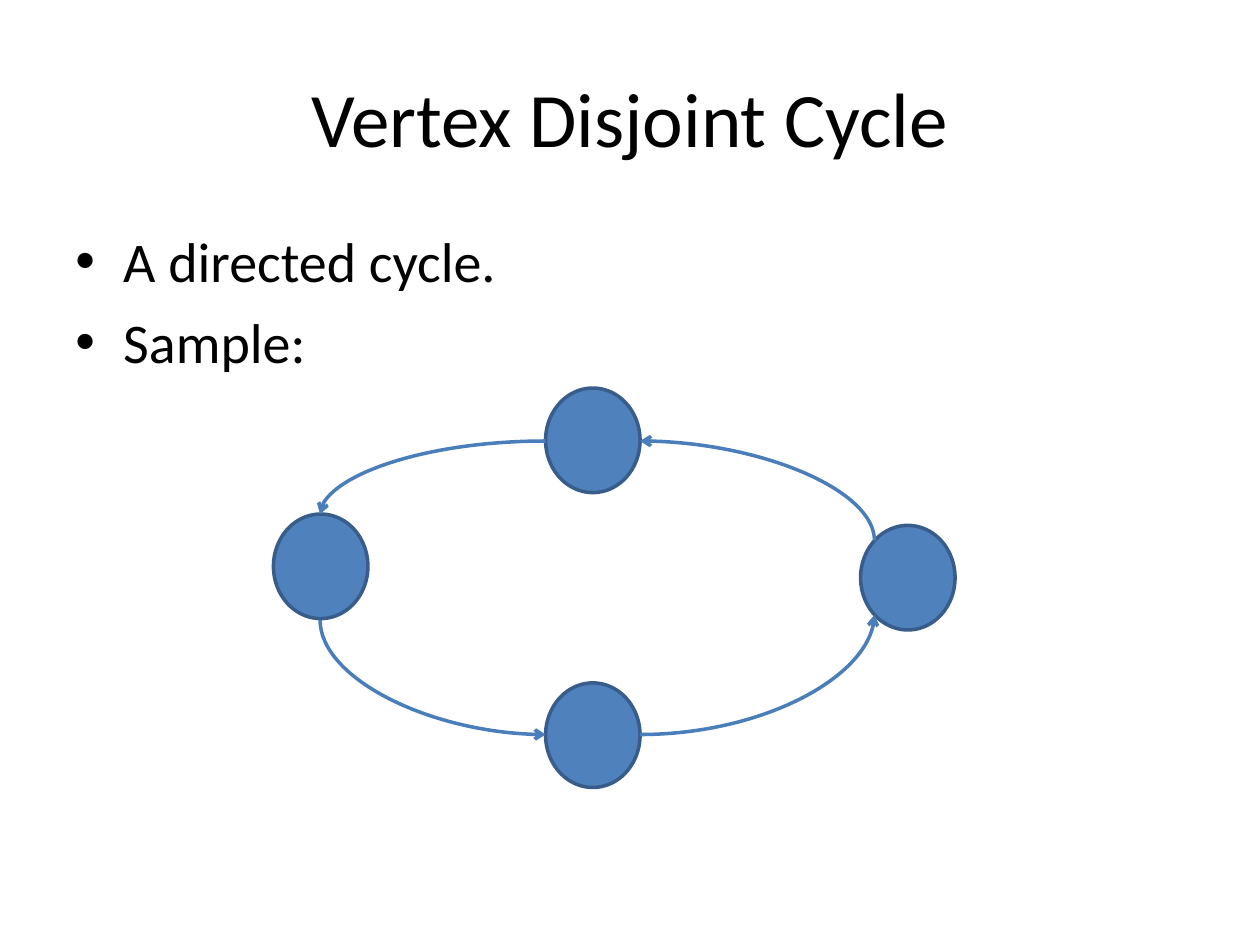
from lxml import etree
from pptx import Presentation
from pptx.dml.color import RGBColor
from pptx.enum.shapes import MSO_CONNECTOR, MSO_SHAPE
from pptx.enum.text import MSO_ANCHOR, PP_ALIGN
from pptx.oxml.ns import qn
from pptx.util import Inches, Pt

NODE_WIDTH, NODE_HEIGHT = 0.75, 0.83
NODES = [(2.17, 4.08), (4.33, 3.08), (4.33, 5.42), (6.83, 4.17)]
EDGES = [
    ((4.33, 3.5), (2.54, 4.08), False),
    ((2.54, 4.92), (4.33, 5.83), True),
    ((5.08, 5.83), (6.94, 4.88), False),
    ((6.94, 4.29), (5.08, 3.5), True),
]


def color(value):
    return RGBColor.from_string(value)


def add_text(slide, left, top, width, height, lines, size):
    shape = slide.shapes.add_textbox(Inches(left), Inches(top), Inches(width), Inches(height))
    frame = shape.text_frame
    frame.word_wrap = True
    frame.text = "\n".join(lines)
    for paragraph in frame.paragraphs:
        paragraph.font.name = "Calibri"
        paragraph.font.size = Pt(size)
        paragraph.font.color.rgb = color("000000")
    return frame


def add_title(slide, text):
    frame = add_text(slide, 0.5, 0.3, 9, 1.25, [text], 44)
    frame.vertical_anchor = MSO_ANCHOR.MIDDLE
    frame.paragraphs[0].alignment = PP_ALIGN.CENTER


def add_bullets(slide, lines):
    frame = add_text(slide, 0.5, 1.75, 9, 4.95, lines, 32)
    for paragraph in frame.paragraphs:
        paragraph.space_before = Pt(8)
        properties = paragraph._p.get_or_add_pPr()
        properties.set("marL", str(Inches(0.38)))
        properties.set("indent", str(Inches(-0.38)))
        font = etree.Element(qn("a:buFont"), typeface="Arial")
        bullet = etree.Element(qn("a:buChar"), char="•")
        position = len(properties.findall(qn("a:spcBef")))
        properties.insert(position, font)
        properties.insert(position + 1, bullet)


def add_node(slide, left, top):
    shape = slide.shapes.add_shape(
        MSO_SHAPE.OVAL, Inches(left), Inches(top), Inches(NODE_WIDTH), Inches(NODE_HEIGHT)
    )
    shape.shadow.inherit = False
    shape.fill.solid()
    shape.fill.fore_color.rgb = color("4F81BD")
    shape.line.color.rgb = color("385D8A")
    shape.line.width = Pt(2)


def quarter_turn(point, center):
    return center[0] - (point[1] - center[1]), center[1] + (point[0] - center[0])


def add_edge(slide, begin, end, leaves_vertically):
    if leaves_vertically:
        center = (begin[0] + end[0]) / 2, (begin[1] + end[1]) / 2
        begin, end = quarter_turn(begin, center), quarter_turn(end, center)
    connector = slide.shapes.add_connector(
        MSO_CONNECTOR.CURVE, *(Inches(value) for value in (*begin, *end))
    )
    connector.line.color.rgb = color("4A7EBB")
    connector.line.width = Pt(2)
    properties = connector._element.spPr
    properties.find(qn("a:prstGeom")).set("prst", "curvedConnector2")
    if leaves_vertically:
        properties.find(qn("a:xfrm")).set("rot", str(270 * 60000))
    etree.SubElement(properties.find(qn("a:ln")), qn("a:tailEnd"), type="arrow")
    etree.SubElement(properties, qn("a:effectLst"))


def main():
    presentation = Presentation()
    presentation.slide_width = Inches(10)
    presentation.slide_height = Inches(7.5)
    slide = presentation.slides.add_slide(presentation.slide_layouts[6])
    add_title(slide, "Vertex Disjoint Cycle")
    for left, top in NODES:
        add_node(slide, left, top)
    for begin, end, leaves_vertically in EDGES:
        add_edge(slide, begin, end, leaves_vertically)
    add_bullets(slide, ["A directed cycle.", "Sample:"])
    presentation.save("out.pptx")


if __name__ == "__main__":
    main()
